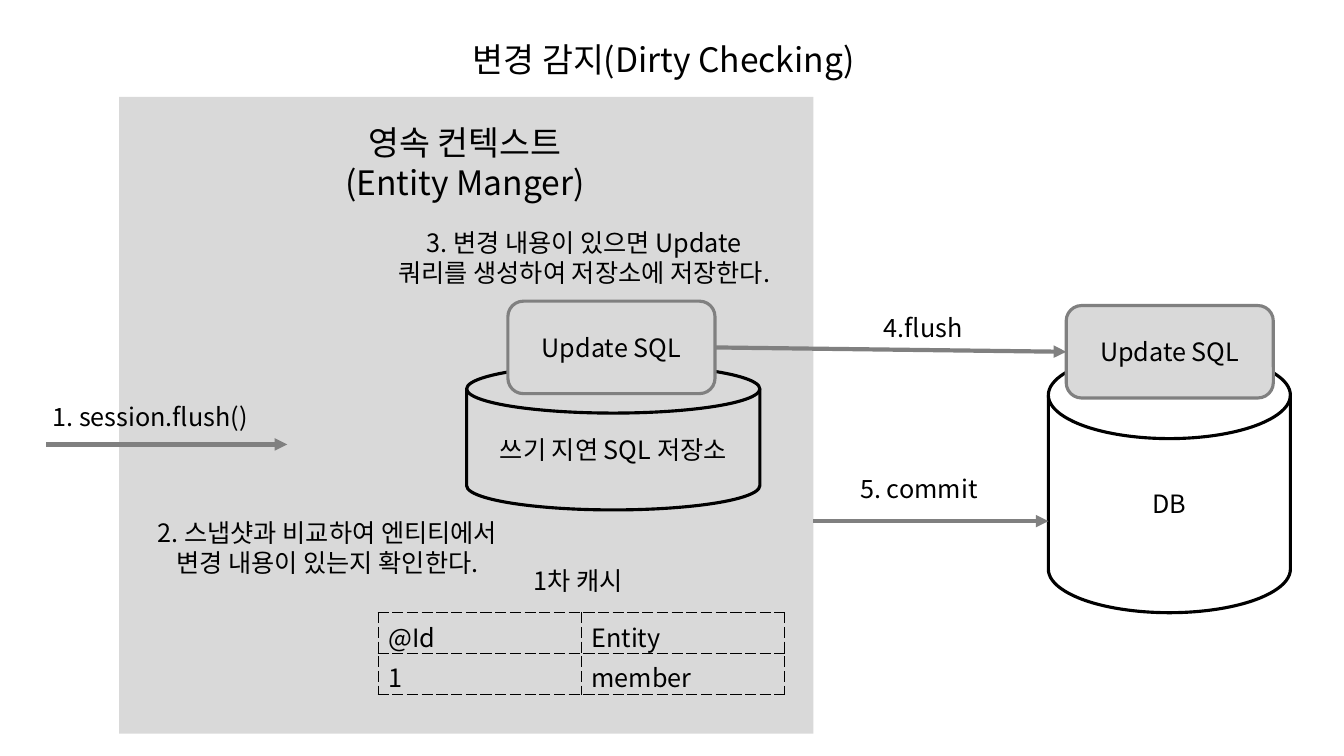
from lxml import etree
from pptx import Presentation
from pptx.dml.color import RGBColor
from pptx.enum import shapes, text
from pptx.oxml.ns import qn
from pptx.util import Cm, Pt

BLACK = RGBColor(0x00, 0x00, 0x00)
GREY = RGBColor(0x80, 0x80, 0x80)
LIGHT = RGBColor(0xD9, 0xD9, 0xD9)
FONT = "Noto Sans CJK KR"
SHAPE = shapes.MSO_SHAPE


def write(frame, words, size=18, align=text.PP_ALIGN.CENTER):
    frame.text = words
    frame.word_wrap = True
    for paragraph in frame.paragraphs:
        paragraph.alignment = align
        font = paragraph.font
        font.size, font.name = Pt(size), FONT
        font.color.rgb = BLACK
        defaults = paragraph._p.get_or_add_pPr().find(qn("a:defRPr"))
        etree.SubElement(defaults, qn("a:ea"), typeface=FONT)


def add_label(slide, left, top, width, height, words, size=18):
    label = slide.shapes.add_textbox(Cm(left), Cm(top), Cm(width), Cm(height))
    write(label.text_frame, words, size)


def add_block(slide, kind, left, top, width, height, words="", fill=None, line=None):
    block = slide.shapes.add_shape(kind, Cm(left), Cm(top), Cm(width), Cm(height))
    block.shadow.inherit = False
    if fill is None:
        block.fill.background()
    else:
        block.fill.solid()
        block.fill.fore_color.rgb = fill
    if line is None:
        block.line.fill.background()
    else:
        block.line.color.rgb = line
        block.line.width = Pt(2.25)
    if words:
        write(block.text_frame, words)
    return block


def add_update_sql(slide, left, top):
    return add_block(slide, SHAPE.FLOWCHART_ALTERNATE_PROCESS, left, top, 5.22, 2.33,
                     "Update SQL", LIGHT, GREY)


def add_arrow(slide, x1=0, y1=0, x2=0, y2=0):
    arrow = slide.shapes.add_connector(shapes.MSO_CONNECTOR.STRAIGHT,
                                       Cm(x1), Cm(y1), Cm(x2), Cm(y2))
    arrow.line.color.rgb = GREY
    arrow.line.width = Pt(3)
    etree.SubElement(arrow.line._get_or_add_ln(), qn("a:tailEnd"), type="triangle")
    etree.SubElement(arrow._element.spPr, qn("a:effectLst"))
    return arrow


def dash_borders(cell):
    properties = cell._tc.get_or_add_tcPr()
    for side in ("lnL", "lnR", "lnT", "lnB"):
        border = etree.SubElement(properties, qn(f"a:{side}"), w=str(Pt(1)))
        fill = etree.SubElement(border, qn("a:solidFill"))
        etree.SubElement(fill, qn("a:srgbClr"), val=str(BLACK))
        etree.SubElement(border, qn("a:prstDash"), val="sysDash")


def add_cache(slide, left, top, width, row_height):
    rows = [("@Id", "Entity"), ("1", "member")]
    cache = slide.shapes.add_table(len(rows), 2, Cm(left), Cm(top), Cm(width),
                                   Cm(row_height * len(rows))).table
    cache.first_row = cache.horz_banding = False
    for r, row in enumerate(rows):
        for c, words in enumerate(row):
            cell = cache.cell(r, c)
            dash_borders(cell)
            cell.fill.background()
            write(cell.text_frame, words, align=text.PP_ALIGN.LEFT)


def add_title(slide, left, top, width, height):
    title = slide.shapes.title
    title.left, title.top, title.width, title.height = map(Cm, (left, top, width, height))
    write(title.text_frame, "변경 감지(Dirty Checking)", 24)
    title.text_frame.auto_size = text.MSO_AUTO_SIZE.NONE
    title.text_frame.vertical_anchor = text.MSO_ANCHOR.MIDDLE


def add_context(slide, left, top, width, height):
    add_block(slide, SHAPE.RECTANGLE, left, top, width, height, fill=LIGHT)
    add_label(slide, left + 5.26, top + 0.51, 6.91, 2.31, "영속 컨텍스트(Entity Manger)", 24)
    # Snapshot check and first-level cache
    add_label(slide, left + 0.35, top + 10.46, 9.8, 1.8,
              "2. 스냅샷과 비교하여 엔티티에서 변경 내용이 있는지 확인한다.")
    add_label(slide, left + 8.76, top + 11.68, 5.61, 1.02, "1차 캐시")
    add_cache(slide, left + 6.53, top + 13, 10.24, 1.03)
    # Write-behind store
    add_label(slide, left + 6.53, top + 3.17, 10.39, 1.8,
              "3. 변경 내용이 있으면 Update\v쿼리를 생성하여 저장소에 저장한다.")
    add_block(slide, SHAPE.FLOWCHART_MAGNETIC_DISK, left + 8.76, top + 6.75, 7.39, 3.66,
              "쓰기 지연 SQL 저장소", line=BLACK)
    return add_update_sql(slide, left + 9.8, top + 5.15)


def add_database(slide, left, top, width, height):
    add_block(slide, SHAPE.FLOWCHART_MAGNETIC_DISK, left, top + 1.16, width, height - 1.16,
              "DB", line=BLACK)
    return add_update_sql(slide, left + 0.45, top)


def add_flows(slide, stored_update, sent_update):
    # Call into the context
    add_arrow(slide, 1.17, 11.2, 7.24, 11.2)
    add_label(slide, 0.56, 9.98, 6.45, 1.02, "1. session.flush()")
    # Flush of the stored query
    flush = add_arrow(slide)
    flush.begin_connect(stored_update, 3)
    flush.end_connect(sent_update, 1)
    add_label(slide, 21.36, 7.75, 3.81, 1.02, "4.flush")
    # Commit to the database
    add_arrow(slide, 20.5, 13.13, 26.42, 13.13)
    add_label(slide, 19.91, 11.81, 6.5, 1.02, "5. commit")


def main():
    deck = Presentation()
    deck.slide_width, deck.slide_height = Cm(33.87), Cm(19.05)
    slide = deck.slides.add_slide(deck.slide_layouts[5])
    add_title(slide, 10.11, 0.86, 13.23, 1.27)
    stored_update = add_context(slide, 3, 2.44, 17.5, 16.05)
    sent_update = add_database(slide, 26.42, 7.7, 6.1, 7.74)
    add_flows(slide, stored_update, sent_update)
    deck.save("out.pptx")


if __name__ == "__main__":
    main()
